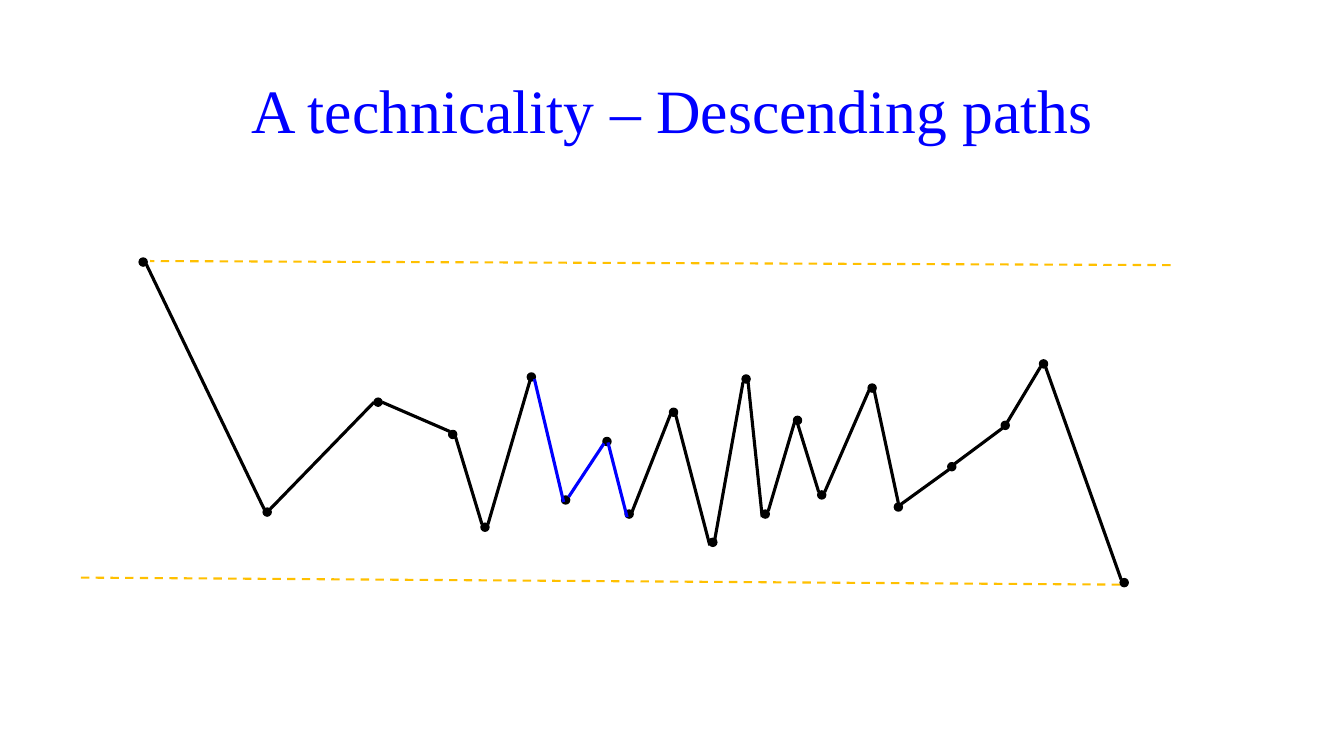
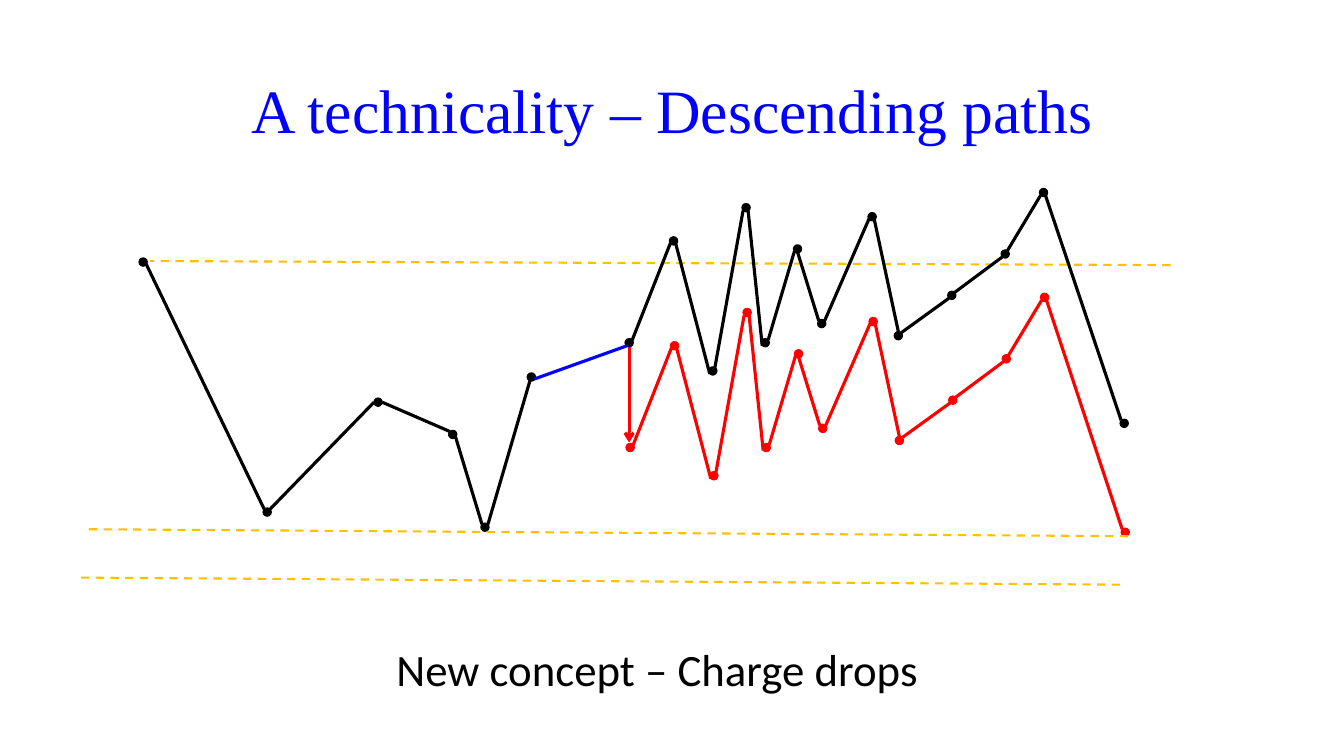
from typing import NamedTuple

from lxml import etree
from pptx import Presentation
from pptx import util as u
from pptx.dml.color import RGBColor
from pptx.enum import dml, shapes, text
from pptx.oxml.ns import qn

PX = 9144  # EMU in one px, 100 px to the inch
HUE = {"black": "000000", "blue": "0000FF", "red": "FF0000", "gold": "FFC000"}
DOT = 8


class Dot(NamedTuple):
    x: int
    y: int


class Line(NamedTuple):
    x1: int
    y1: int
    x2: int
    y2: int
    hue: str = "black"
    width: float = 2.25
    dash: bool = False
    arrow: bool = False


def guide(x1: int, y1: int, x2: int, y2: int) -> Line:
    return Line(x1, y1, x2, y2, "gold", 1.5, dash=True)


TOP = guide(1161, 263, 149, 259)
LOW = guide(1111, 580, 79, 573)
MID = guide(1119, 532, 87, 525)

# Left part of the path, the same on both slides
HEAD_DOTS = [Dot(138, 256), Dot(261, 504), Dot(371, 395), Dot(445, 427),
             Dot(477, 519), Dot(523, 370)]
HEAD_LINES = [Line(262, 505, 145, 262), Line(371, 399, 268, 505),
              Line(379, 399, 446, 428), Line(478, 520, 452, 434),
              Line(484, 520, 527, 373)]

# Dip between the two parts, later cut out
DIP_DOTS = [Dot(557, 492), Dot(598, 434)]
DIP_LINES = [Line(559, 498, 530, 376, "blue"), Line(599, 440, 564, 493, "blue"),
             Line(622, 513, 603, 439, "blue")]

# Right part of the path, moved as a whole
TAIL_DOTS = [Dot(620, 506), Dot(664, 405), Dot(703, 534), Dot(736, 372),
             Dot(755, 506), Dot(787, 413), Dot(811, 487), Dot(861, 381),
             Dot(887, 499), Dot(940, 459), Dot(993, 418), Dot(1031, 357)]
TAIL_LINES = [Line(665, 411, 626, 510), Line(704, 541, 670, 411),
              Line(737, 379, 709, 535), Line(756, 513, 742, 379),
              Line(788, 419, 762, 507), Line(812, 488, 791, 420),
              Line(862, 387, 818, 488), Line(891, 499, 867, 387),
              Line(941, 466, 894, 500), Line(994, 425, 947, 460),
              Line(1032, 364, 999, 419)]


def color(name: str) -> RGBColor:
    return RGBColor.from_string(HUE[name])


def box(left: int, top: int, width: int, height: int) -> list[int]:
    return [n * PX for n in (left, top, width, height)]


def style(frame, words: str, font: str, size: int, hue: str) -> None:
    frame.text = words
    frame.word_wrap = True
    para = frame.paragraphs[0]
    para.alignment = text.PP_ALIGN.CENTER
    face = para.runs[0].font
    face.name, face.size = font, u.Pt(size)
    face.color.rgb = color(hue)


def add_page(deck, title: str):
    page = deck.slides.add_slide(deck.slide_layouts[5])
    head = page.shapes.title
    head.left, head.top, head.width, head.height = box(92, 40, 1150, 145)
    frame = head.text_frame
    style(frame, title, "Times New Roman", 44, "blue")
    frame.auto_size = text.MSO_AUTO_SIZE.NONE
    frame.vertical_anchor = text.MSO_ANCHOR.MIDDLE
    frame.paragraphs[0].line_spacing = 0.9
    return page


def draw_dot(pen, dot: Dot, hue: str = "black") -> None:
    mark = pen.add_shape(shapes.MSO_SHAPE.OVAL, *box(dot.x, dot.y, DOT, DOT))
    mark.shadow.inherit = False
    mark.fill.solid()
    mark.fill.fore_color.rgb = color(hue)
    mark.line.color.rgb = color(hue)
    mark.line.width = u.Pt(1)


def draw_line(pen, line: Line) -> None:
    link = pen.add_connector(shapes.MSO_CONNECTOR.STRAIGHT, *box(*line[:4]))
    link.line.color.rgb = color(line.hue)
    link.line.width = u.Pt(line.width)
    if line.dash:
        link.line.dash_style = dml.MSO_LINE.DASH
    props = link._element.spPr
    if line.arrow:
        etree.SubElement(props.find(qn("a:ln")), qn("a:tailEnd"), type="arrow")
    etree.SubElement(props, qn("a:effectLst"))


def draw(pen, dots: list[Dot], lines: list[Line], hue: str = "black") -> None:
    for dot in dots:
        draw_dot(pen, dot, hue)
    for line in lines:
        draw_line(pen, line)


def draw_tail(pen, dx: int, dy: int, end: int, hue: str = "black") -> None:
    """Draw the right part moved by dx, dy, with its last dot at height end."""
    dots = [Dot(d.x + dx, d.y + dy) for d in TAIL_DOTS]
    last = Line(1112, end + 1 - dy, 1037, 364)
    lines = [Line(n.x1 + dx, n.y1 + dy, n.x2 + dx, n.y2 + dy, hue)
             for n in [*TAIL_LINES, last]]
    draw(pen, [*dots, Dot(1111 + dx, end)], lines, hue)


def main() -> None:
    deck = Presentation()
    deck.slide_width, deck.slide_height = u.Inches(13.33), u.Inches(7.5)
    title = "A technicality – Descending paths"

    page = add_page(deck, title)
    pen = page.shapes.add_group_shape().shapes
    draw(pen, HEAD_DOTS, [TOP, LOW, *HEAD_LINES])
    draw_tail(pen, 0, 0, 574)
    draw(pen, DIP_DOTS, DIP_LINES)

    page = add_page(deck, title)
    pen = page.shapes
    draw(pen, HEAD_DOTS, [TOP, LOW, *HEAD_LINES])
    draw_tail(pen, 0, -170, 416)
    draw_line(pen, Line(622, 343, 530, 376, "blue"))
    note = pen.add_textbox(*box(375, 632, 554, 64))
    style(note.text_frame, "New concept – Charge drops", "Calibri", 32, "black")
    drop = pen.add_group_shape().shapes
    draw_line(drop, Line(624, 344, 624, 439, "red", arrow=True))
    draw_tail(drop, 1, -66, 524, "red")
    draw_line(pen, MID)

    deck.save("out.pptx")


if __name__ == "__main__":
    main()
